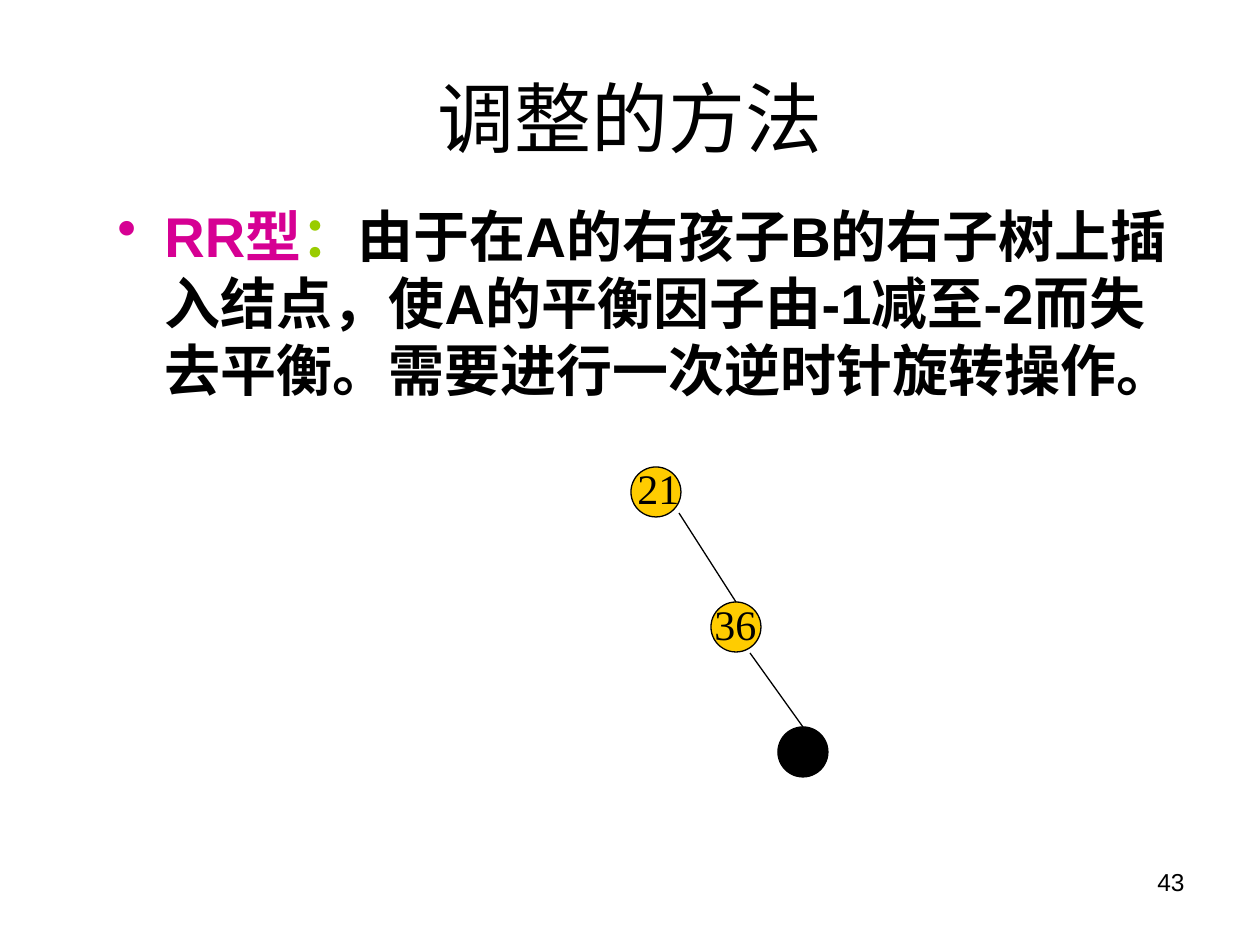
"""Build the slide that explains the RR case of balanced-tree adjustment."""

from dataclasses import dataclass
from typing import Optional

import pptx
import pptx.dml.color
import pptx.enum.shapes
import pptx.enum.text
import pptx.oxml.ns
import pptx.util
from lxml import etree

EMU_PER_PX = 914400 / 126
NODE_SIZE = 50
LABEL_SIZE = (98, 87)
COLORS = {
    "black": "000000",
    "white": "FFFFFF",
    "gold": "FFCC00",
    "magenta": "D60093",
    "green": "99CC00",
}
ALIGN = pptx.enum.text.PP_ALIGN


@dataclass(frozen=True)
class Run:
    text: str
    color: str = "black"


@dataclass(frozen=True)
class TextBox:
    left: int
    top: int
    width: int
    height: int
    runs: tuple[Run, ...]
    size: int
    align: ALIGN = ALIGN.LEFT
    font: str = "Arial"
    bold: bool = False
    middle: bool = False
    bullet_indent: int = 0


@dataclass(frozen=True)
class Node:
    left: int
    top: int
    fill: str
    label: str = ""
    label_left: int = 0
    label_top: int = 0
    edge_start: Optional[tuple[int, int]] = None


TITLE = TextBox(63, 38, 1134, 157, (Run("调整的方法"),), 44, ALIGN.CENTER, middle=True)
BODY = TextBox(
    105, 195, 1096, 265,
    (
        Run("RR型", "magenta"),
        Run("：", "green"),
        Run("由于在A的右孩子B的右子树上插入结点，使A的平衡因子由-1减至-2而失去平衡。需要进行一次逆时针旋转操作。"),
    ),
    32, bold=True, bullet_indent=47,
)
PAGE_NUMBER = TextBox(903, 861, 294, 66, (Run("43"),), 14, ALIGN.RIGHT)
NODES = (
    Node(631, 467, "gold", "21", 625, 456),
    Node(711, 602, "gold", "36", 702, 592, edge_start=(679, 513)),
    Node(778, 727, "black", edge_start=(750, 653)),
)


def px(value: int) -> pptx.util.Emu:
    """Turn slide pixels into EMU."""
    return pptx.util.Emu(round(value * EMU_PER_PX))


def rgb(name: str) -> pptx.dml.color.RGBColor:
    """Look up a named colour."""
    return pptx.dml.color.RGBColor.from_string(COLORS[name])


def add_bullet(paragraph, indent: int) -> None:
    """Give a paragraph a round bullet with a hanging indent."""
    properties = paragraph._p.get_or_add_pPr()
    properties.set("marL", str(px(indent)))
    properties.set("indent", str(-px(indent)))
    bullet = etree.SubElement(properties, pptx.oxml.ns.qn("a:buChar"))
    bullet.set("char", "•")


def add_text(slide, box: TextBox) -> None:
    """Draw one text box with its coloured runs."""
    shape = slide.shapes.add_textbox(px(box.left), px(box.top), px(box.width), px(box.height))
    text_frame = shape.text_frame
    text_frame.word_wrap = True
    if box.middle:
        text_frame.vertical_anchor = pptx.enum.text.MSO_ANCHOR.MIDDLE
    paragraph = text_frame.paragraphs[0]
    paragraph.alignment = box.align
    if box.bullet_indent:
        add_bullet(paragraph, box.bullet_indent)
    for part in box.runs:
        run = paragraph.add_run()
        run.text = part.text
        run.font.name = box.font
        run.font.size = pptx.util.Pt(box.size)
        run.font.bold = box.bold
        run.font.color.rgb = rgb(part.color)


def set_outline(shape) -> None:
    """Give a shape or connector the thin black line."""
    shape.line.color.rgb = rgb("black")
    shape.line.width = pptx.util.Pt(0.75)


def add_node(slide, node: Node) -> None:
    """Draw a tree node with the edge from its parent."""
    circle = slide.shapes.add_shape(
        pptx.enum.shapes.MSO_SHAPE.OVAL,
        px(node.left), px(node.top), px(NODE_SIZE), px(NODE_SIZE),
    )
    circle.shadow.inherit = False
    circle.fill.solid()
    circle.fill.fore_color.rgb = rgb(node.fill)
    set_outline(circle)
    if node.edge_start:
        start_x, start_y = node.edge_start
        edge = slide.shapes.add_connector(
            pptx.enum.shapes.MSO_CONNECTOR.STRAIGHT,
            px(start_x), px(start_y), px(node.left + NODE_SIZE // 2), px(node.top),
        )
        edge.end_connect(circle, 0)
        set_outline(edge)
        etree.SubElement(edge._element.spPr, pptx.oxml.ns.qn("a:effectLst"))
    if node.label:
        add_text(slide, TextBox(
            node.label_left, node.label_top, *LABEL_SIZE, (Run(node.label),),
            24, ALIGN.JUSTIFY, "Times New Roman",
        ))


def main() -> None:
    """Build and save the presentation."""
    presentation = pptx.Presentation()
    presentation.slide_width = px(1260)
    presentation.slide_height = px(945)
    slide = presentation.slides.add_slide(presentation.slide_layouts[6])
    slide.background.fill.solid()
    slide.background.fill.fore_color.rgb = rgb("white")
    for box in (TITLE, BODY, PAGE_NUMBER):
        add_text(slide, box)
    for node in NODES:
        add_node(slide, node)
    presentation.save("out.pptx")


if __name__ == "__main__":
    main()
